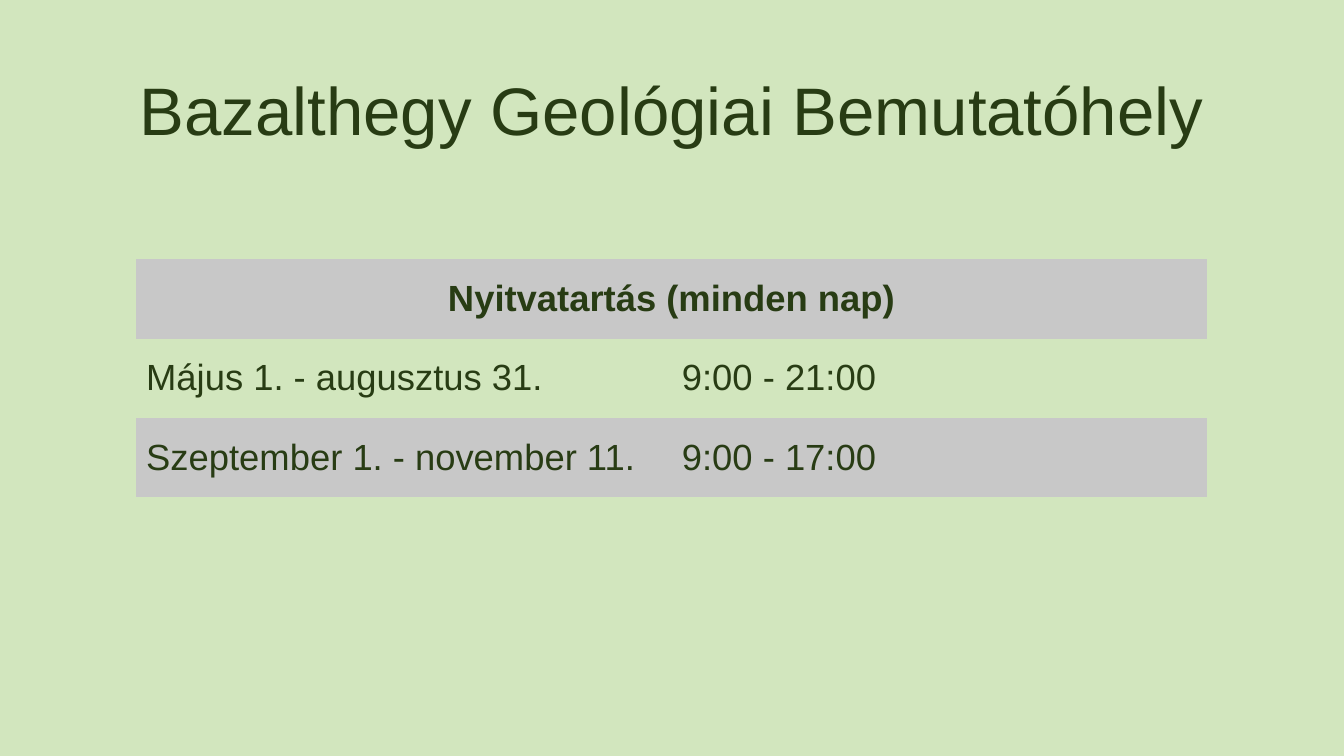
from pptx import Presentation
from pptx import util as u
from pptx.dml import color
from pptx.enum import text
from pptx.oxml import ns

INK = "283C14"
BAND = "C8C8C8"
PAGE = "D2E6BE"
PLAIN = "{2D5ABB26-0587-4C30-8999-92F81FD0307C}"
HOURS = [
    ["Nyitvatartás (minden nap)", ""],
    ["Május 1. - augusztus 31.", "9:00 - 21:00"],
    ["Szeptember 1. - november 11.", "9:00 - 17:00"],
]


def paint(fill, tone):
    fill.solid()
    fill.fore_color.rgb = color.RGBColor.from_string(tone)


def write(frame, words, size, bold=False, center=False):
    frame.text = words
    line = frame.paragraphs[0]
    line.alignment = text.PP_ALIGN.CENTER if center else text.PP_ALIGN.LEFT
    for run in line.runs:
        run.font.name = "Arial"
        run.font.size = u.Pt(size)
        run.font.bold = bold
        paint(run.font.fill, INK)


def add_title(slide, words):
    box = slide.shapes.add_textbox(u.Cm(1.93), u.Cm(1.02), u.Cm(30), u.Cm(3.68))
    frame = box.text_frame
    frame.word_wrap = True
    frame.vertical_anchor = text.MSO_ANCHOR.MIDDLE
    write(frame, words, 48, center=True)
    frame.paragraphs[0].line_spacing = 0.9


def add_hours(slide, rows):
    grid = slide.shapes.add_table(
        len(rows), 2, u.Cm(3.43), u.Cm(6.53), u.Cm(27), u.Cm(2 * len(rows))
    ).table
    grid._tbl.tblPr.find(ns.qn("a:tableStyleId")).text = PLAIN
    grid.first_row = grid.horz_banding = False
    grid.cell(0, 0).merge(grid.cell(0, 1))
    for r, row in enumerate(rows):
        for c, words in enumerate(row):
            cell = grid.cell(r, c)
            cell.vertical_anchor = text.MSO_ANCHOR.MIDDLE
            if r % 2:
                cell.fill.background()
            else:
                paint(cell.fill, BAND)
            if words:
                write(cell.text_frame, words, 26, bold=r == 0, center=r == 0)


def main():
    deck = Presentation()
    deck.slide_width, deck.slide_height = u.Cm(33.87), u.Cm(19.05)
    slide = deck.slides.add_slide(deck.slide_layouts[6])
    paint(slide.background.fill, PAGE)
    add_title(slide, "Bazalthegy Geológiai Bemutatóhely")
    add_hours(slide, HOURS)
    deck.save("out.pptx")


main()
